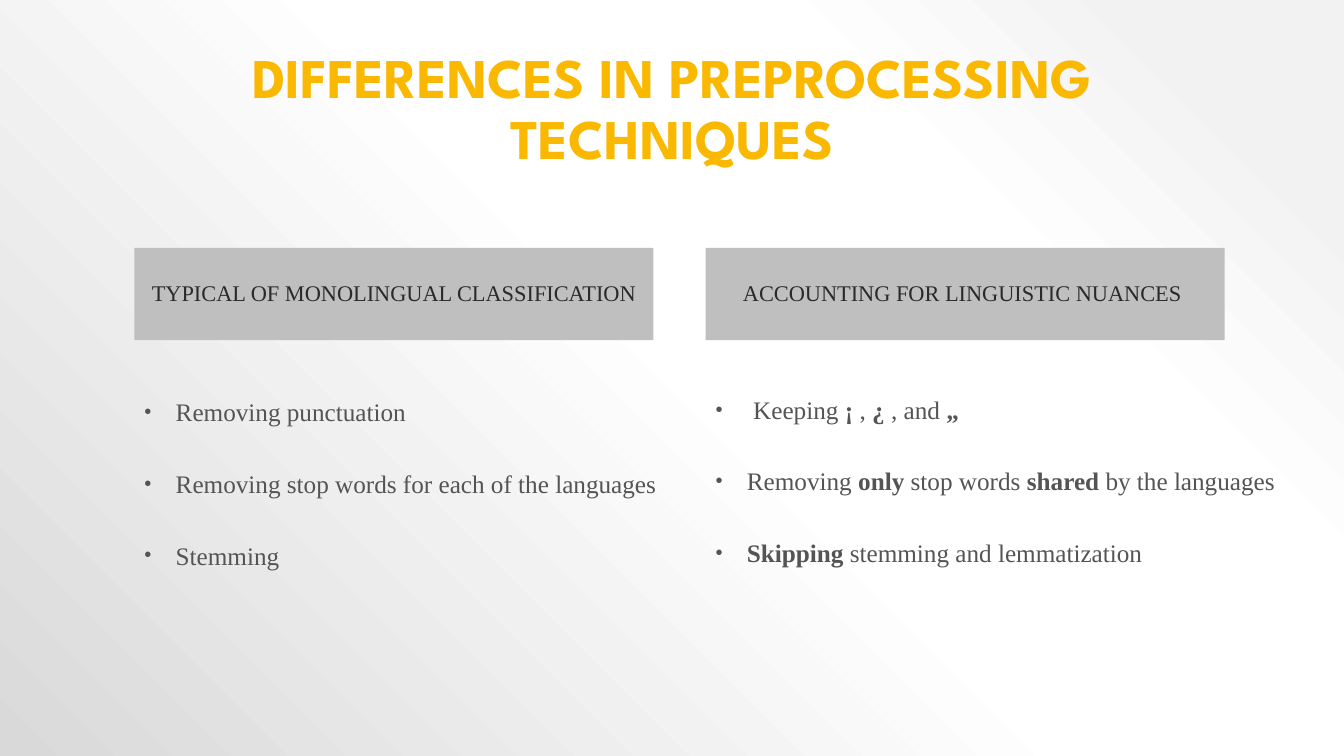
from dataclasses import dataclass

from pptx import Presentation
from pptx.dml.color import RGBColor
from pptx.enum.text import MSO_ANCHOR, MSO_AUTO_SIZE, PP_ALIGN
from pptx.oxml import parse_xml
from pptx.oxml.ns import nsdecls
from pptx.util import Inches, Pt

TOP, MIDDLE, BOTTOM = MSO_ANCHOR.TOP, MSO_ANCHOR.MIDDLE, MSO_ANCHOR.BOTTOM
LEFT, CENTER = PP_ALIGN.LEFT, PP_ALIGN.CENTER
NO_AUTOFIT = MSO_AUTO_SIZE.NONE

COLORS = {
    "title": "FAB900",
    "banner": "BFBFBF",
    "heading": "2A2A2A",
    "body": "545454",
    "corner": "F2F2F2",
    "middle": "FFFFFF",
    "edge": "D9D9D9",
}
BACKGROUND_STOPS = [(10, "corner"), (28, "middle"), (48, "middle"), (100, "edge")]

# The slide is a grid of 160 columns by 90 rows
CELL = Inches(1) / 12
GRID_COLUMNS, GRID_ROWS = 160, 90
BULLET_INDENT = Inches(0.31)
BOLD_MARK = "**"


@dataclass
class Area:
    column: float
    row: float
    columns: float
    rows: float


@dataclass
class TextStyle:
    font: str
    size: int
    color: str
    paragraph_format: dict
    anchor: MSO_ANCHOR
    bold: bool = False
    bullets: bool = False


@dataclass
class Comparison:
    heading: str
    points: list[str]
    column: float
    list_row: float
    list_columns: float
    placeholders: tuple[int, int]


CENTERED = {"alignment": CENTER, "line_spacing": 0.9,
            "space_before": Pt(0), "space_after": Pt(0)}
LISTED = {"alignment": LEFT, "line_spacing": 2.0,
          "space_before": Pt(0), "space_after": Pt(8)}

TITLE = TextStyle("League Spartan", 40, "title", CENTERED, BOTTOM, bold=True)
HEADING = TextStyle("Times New Roman", 16, "heading", CENTERED, MIDDLE)
BODY = TextStyle("Times New Roman", 18, "body", LISTED, TOP, bullets=True)

COMPARISONS = [
    Comparison(
        "TYPICAL OF MONOLINGUAL CLASSIFICATION",
        ["Removing punctuation",
         "Removing stop words for each of the languages",
         "Stemming"],
        column=16, list_row=43, list_columns=65, placeholders=(1, 2)),
    Comparison(
        "ACCOUNTING FOR LINGUISTIC NUANCES ",
        [" Keeping **¡ **, **¿ **, and **„**",
         "Removing **only **stop words **shared** by the languages",
         "**Skipping** stemming and lemmatization"],
        column=84, list_row=42.7, list_columns=71.8, placeholders=(3, 4)),
]


def set_attributes(target, values: dict) -> None:
    for name, value in values.items():
        setattr(target, name, value)


def add_bullet(paragraph, color: str) -> None:
    properties = paragraph._p.get_or_add_pPr()
    properties.set("marL", str(BULLET_INDENT))
    properties.set("indent", str(-BULLET_INDENT))
    for markup in (
        f'<a:buClr {nsdecls("a")}><a:srgbClr val="{COLORS[color]}"/></a:buClr>',
        f'<a:buSzPct {nsdecls("a")} val="80000"/>',
        f'<a:buFont {nsdecls("a")} typeface="Arial"/>',
        f'<a:buChar {nsdecls("a")} char="•"/>',
    ):
        properties.append(parse_xml(markup))


def fill_placeholder(shape, area: Area, lines: list[str], style: TextStyle) -> None:
    set_attributes(shape, {
        "left": round(area.column * CELL), "top": round(area.row * CELL),
        "width": round(area.columns * CELL), "height": round(area.rows * CELL)})
    frame = shape.text_frame
    set_attributes(frame, {"word_wrap": True, "auto_size": NO_AUTOFIT,
                           "vertical_anchor": style.anchor})
    for index, line in enumerate(lines):
        paragraph = frame.add_paragraph() if index else frame.paragraphs[0]
        if style.bullets:
            add_bullet(paragraph, style.color)
        set_attributes(paragraph, style.paragraph_format)
        # Every second piece between bold marks is bold
        for position, piece in enumerate(line.split(BOLD_MARK)):
            if not piece:
                continue
            run = paragraph.add_run()
            run.text = piece
            set_attributes(run.font, {"name": style.font, "size": Pt(style.size),
                                      "bold": style.bold or position % 2 == 1})
            run.font.color.rgb = RGBColor.from_string(COLORS[style.color])


def paint_background(slide) -> None:
    stops = "".join(
        f'<a:gs pos="{share * 1000}"><a:srgbClr val="{COLORS[name]}"/></a:gs>'
        for share, name in BACKGROUND_STOPS)
    slide.element.cSld.insert(0, parse_xml(
        f'<p:bg {nsdecls("p", "a")}><p:bgPr><a:gradFill rotWithShape="1">'
        f'<a:gsLst>{stops}</a:gsLst><a:path path="circle">'
        '<a:fillToRect l="100000" b="100000"/></a:path></a:gradFill>'
        '<a:effectLst/></p:bgPr></p:bg>'))


def main() -> None:
    presentation = Presentation()
    presentation.slide_width = round(GRID_COLUMNS * CELL)
    presentation.slide_height = round(GRID_ROWS * CELL)
    slide = presentation.slides.add_slide(
        presentation.slide_layouts.get_by_name("Comparison"))
    paint_background(slide)

    # Title
    fill_placeholder(slide.shapes.title, Area(16, 3.6, 128, 17.4),
                     ["DIFFERENCES IN PREPROCESSING TECHNIQUES"], TITLE)

    # Two columns, each a banner above a list
    placeholders = {shape.placeholder_format.idx: shape for shape in slide.placeholders}
    for comparison in COMPARISONS:
        banner, points = (placeholders[index] for index in comparison.placeholders)
        banner.fill.solid()
        banner.fill.fore_color.rgb = RGBColor.from_string(COLORS["banner"])
        fill_placeholder(banner, Area(comparison.column, 29.5, 61.8, 11),
                         [comparison.heading], HEADING)
        fill_placeholder(
            points,
            Area(comparison.column, comparison.list_row, comparison.list_columns, 45),
            comparison.points, BODY)

    presentation.save("out.pptx")


if __name__ == "__main__":
    main()
